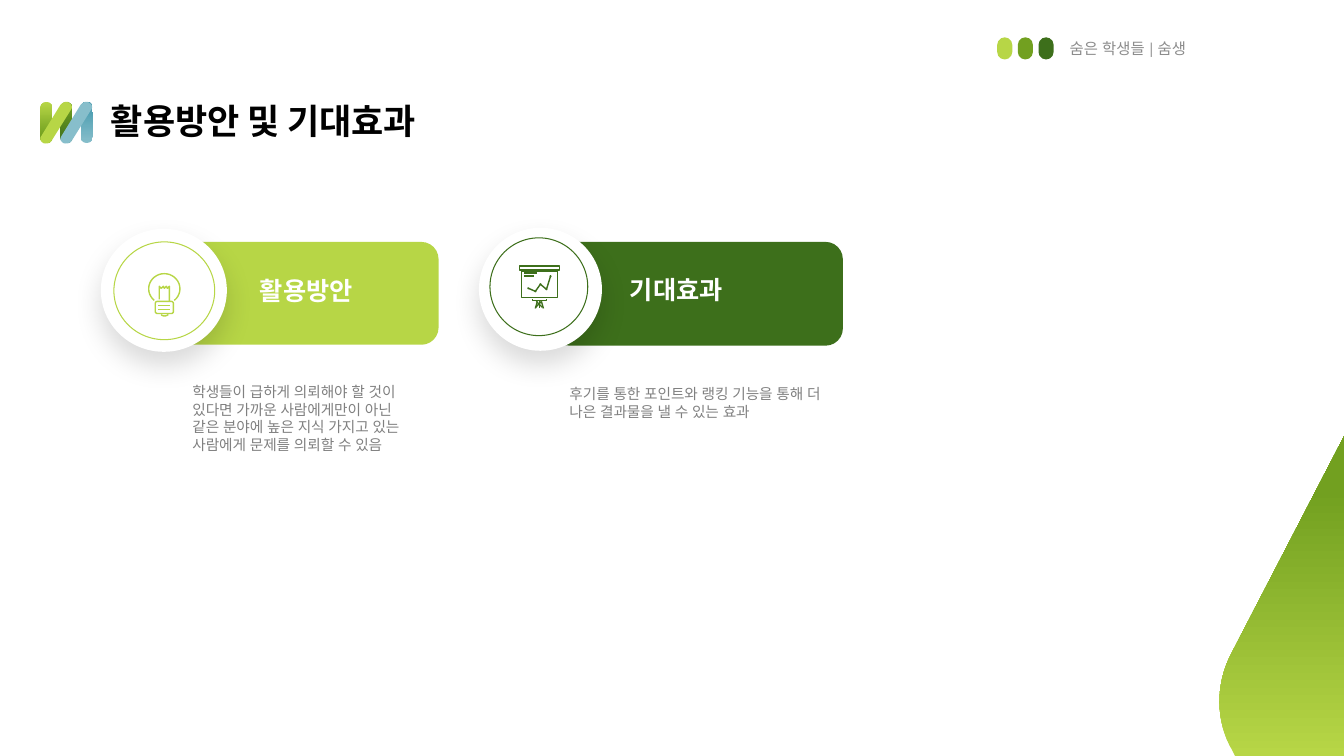
from math import cos, radians, sin

from pptx import Presentation
from pptx.dml.color import RGBColor
from pptx.enum.shapes import MSO_CONNECTOR, MSO_SHAPE
from pptx.enum.text import MSO_ANCHOR, PP_ALIGN
from pptx.oxml import parse_xml
from pptx.oxml.ns import nsdecls, qn
from pptx.util import Inches, Pt

LIME = RGBColor(0xB7, 0xD6, 0x46)
GREEN = RGBColor(0x72, 0xA0, 0x20)
FOREST = RGBColor(0x3D, 0x6F, 0x1B)
SKY = RGBColor(0x87, 0xBE, 0xCB)
TEAL = RGBColor(0x4D, 0x9E, 0xB1)
WHITE = RGBColor(0xFF, 0xFF, 0xFF)
BLACK = RGBColor(0x00, 0x00, 0x00)
GRAY = RGBColor(0x80, 0x80, 0x80)
LIGHT_GRAY = RGBColor(0x8C, 0x8C, 0x8C)

ROUNDED = MSO_SHAPE.ROUNDED_RECTANGLE
RECTANGLE = MSO_SHAPE.RECTANGLE
OVAL = MSO_SHAPE.OVAL
STRAIGHT = MSO_CONNECTOR.STRAIGHT
TOP = MSO_ANCHOR.TOP
MIDDLE = MSO_ANCHOR.MIDDLE
LEFT = PP_ALIGN.LEFT
HEADING_FONT = "Noto Sans CJK KR"
BODY_FONT = "Montserrat"
CURVE_STEPS = 16
DOWN, UP = 270, 90

presentation = Presentation()
presentation.slide_width = Inches(13.33)
presentation.slide_height = Inches(7.5)
slide = presentation.slides.add_slide(presentation.slide_layouts[5])
shapes = slide.shapes


def add_outline(segments, closed=True):
    points = [segments[0]]
    for segment in segments[1:]:
        if len(segment) == 2:
            points.append(segment)
            continue
        start, first, second, end = points[-1], segment[:2], segment[2:4], segment[4:]
        for step in range(1, CURVE_STEPS + 1):
            t = step / CURVE_STEPS
            points.append(tuple(
                (1 - t) ** 3 * a + 3 * (1 - t) ** 2 * t * b + 3 * (1 - t) * t ** 2 * c + t ** 3 * d
                for a, b, c, d in zip(start, first, second, end)))
    points = [(Inches(x), Inches(y)) for x, y in points]
    builder = shapes.build_freeform(*points[0])
    builder.add_line_segments(points[1:], close=closed)
    return builder.convert_to_shape()


def paint(shape, fill=None, line=None, width=0.75, angle=DOWN, stop=0.83):
    shape.shadow.inherit = False
    if fill is None:
        shape.fill.background()
    elif isinstance(fill, RGBColor):
        shape.fill.solid()
        shape.fill.fore_color.rgb = fill
    else:
        shape.fill.gradient()
        shape.fill.gradient_angle = angle
        for gradient_stop, color, position in zip(shape.fill.gradient_stops, fill, (0, stop)):
            gradient_stop.color.rgb = color
            gradient_stop.position = position
    if line is None:
        shape.line.fill.background()
    else:
        shape.line.color.rgb = line
        shape.line.width = Pt(width)


corner = add_outline([(13.33, 4.33), (13.33, 7.5), (12.25, 7.5), (12.22, 7.44),
                      (12.06, 7.16, 12.05, 6.8, 12.21, 6.49)])
paint(corner, (LIME, GREEN), angle=UP)

cards = [
    (LIME, (1.55, 2.4, 2.8, 1.02), (1, 2.27, 1.25, 1.22), (1.13, 2.4, 1, 0.97)),
    (FOREST, (5.48, 2.4, 2.88, 1.03), (4.75, 2.26, 1.22, 1.22), (4.86, 2.36, 0.97, 0.97)),
]
for color, banner_box, disc_box, ring_box in cards:
    banner = shapes.add_shape(ROUNDED, *map(Inches, banner_box))
    paint(banner, color)
    disc = shapes.add_shape(OVAL, *map(Inches, disc_box))
    paint(disc, WHITE)
    effects = disc._element.spPr.find(qn("a:effectLst"))
    effects.append(parse_xml(
        f'<a:outerShdw {nsdecls("a")} blurRad="{Pt(20)}" dist="{Pt(10)}" dir="5400000" '
        'algn="t" rotWithShape="0"><a:srgbClr val="000000"><a:alpha val="15000"/>'
        '</a:srgbClr></a:outerShdw>'))
    ring = shapes.add_shape(OVAL, *map(Inches, ring_box))
    paint(ring, line=color)

bulb_glass = [(1.63 + 0.155 * cos(radians(angle)), 2.865 + 0.15 * sin(radians(angle)))
              for angle in range(130, 411, 10)]
filament = [(1.58, 2.97), (1.58, 2.84), (1.6, 2.86), (1.62, 2.84), (1.63, 2.86),
            (1.65, 2.84), (1.66, 2.86), (1.68, 2.84), (1.68, 2.99)]
bulb_tip = [(1.6, 3.12), (1.61, 3.14, 1.65, 3.14, 1.67, 3.12)]
chart_line = [(5.24, 2.86), (5.31, 2.89), (5.36, 2.82), (5.42, 2.87), (5.46, 2.74)]
easel_bracket = [(5.28, 2.97), (5.28, 2.98), (5.42, 2.98), (5.42, 2.97)]
strokes = [(bulb_glass, LIME), (filament, LIME), (bulb_tip, LIME),
           (chart_line, FOREST), (easel_bracket, FOREST)]
for points, color in strokes:
    paint(add_outline(points, closed=False), line=color, width=1)

frames = [
    (ROUNDED, LIME, (1.54, 2.99, 0.18, 0.12)),
    (RECTANGLE, FOREST, (5.17, 2.69, 0.36, 0.26)),
    (RECTANGLE, FOREST, (5.15, 2.64, 0.4, 0.04)),
]
for kind, color, box in frames:
    paint(shapes.add_shape(kind, *map(Inches, box)), line=color, width=1)

rules = [
    (LIME, 1.57, 3.03, 1.69, 3.03), (LIME, 1.57, 3.07, 1.69, 3.07),
    (FOREST, 5.2, 2.71, 5.33, 2.71), (FOREST, 5.2, 2.74, 5.3, 2.74),
    (FOREST, 5.35, 2.99, 5.35, 3.06), (FOREST, 5.33, 2.99, 5.31, 3.06),
    (FOREST, 5.37, 2.99, 5.39, 3.06), (FOREST, 5.37, 2.99, 5.31, 3.05),
    (FOREST, 5.32, 2.99, 5.38, 3.05),
]
for color, *ends in rules:
    connector = shapes.add_connector(STRAIGHT, *map(Inches, ends))
    connector.line.color.rgb = color
    connector.line.width = Pt(1)
    connector._element.spPr.append(parse_xml(f'<a:effectLst {nsdecls("a")}/>'))

for x, y in chart_line:
    dot = shapes.add_shape(OVAL, *map(Inches, (x - 0.01, y - 0.01, 0.02, 0.02)))
    paint(dot, FOREST)

mark_bars = [(0.4, (LIME, GREEN), DOWN, 0.83), (0.6, (GREEN, FOREST), DOWN, 1),
             (0.8, (SKY, TEAL), UP, 0.83)]
for left, colors, angle, stop in mark_bars:
    bar = shapes.add_shape(ROUNDED, *map(Inches, (left, 1.01, 0.12, 0.41)))
    bar.adjustments[0] = 0.5
    paint(bar, colors, angle=angle, stop=stop)
    if left > 0.4:
        slant = add_outline([
            (left + 0.06, 1.01), (left + 0.07, 1.01, left + 0.08, 1.01, left + 0.08, 1.02),
            (left + 0.11, 1.03, left + 0.12, 1.06, left + 0.11, 1.08), (left - 0.09, 1.4),
            (left - 0.1, 1.42, left - 0.14, 1.43, left - 0.17, 1.42),
            (left - 0.2, 1.4, left - 0.21, 1.38, left - 0.19, 1.35), (left, 1.04),
            (left + 0.02, 1.02, left + 0.04, 1.01, left + 0.06, 1.01)])
        paint(slant, LIME if left == 0.6 else SKY)

for index, color in enumerate((LIME, GREEN, FOREST)):
    pill = shapes.add_shape(ROUNDED, *map(Inches, (9.89 + 0.205 * index, 0.37, 0.15, 0.22)))
    pill.adjustments[0] = 0.5
    paint(pill, color)

title = shapes.title
texts = [
    (title, "활용방안 및 기대효과", (1, 0.94, 7.2, 0.52), 25, HEADING_FONT, BLACK, TOP),
    (None, "활용방안", (2.48, 2.68, 2.07, 0.4), 18, HEADING_FONT, WHITE, MIDDLE),
    (None, "기대효과", (6.15, 2.67, 2.07, 0.4), 18, HEADING_FONT, WHITE, MIDDLE),
    (None, "학생들이 급하게 의뢰해야 할 것이 있다면 가까운 사람에게만이 아닌 같은 분야에 "
     "높은 지식 가지고 있는 사람에게 문제를 의뢰할 수 있음",
     (1.81, 3.75, 2.48, 1.16), 10.5, BODY_FONT, GRAY, TOP),
    (None, "후기를 통한 포인트와 랭킹 기능을 통해 더 나은 결과물을 낼 수 있는 효과",
     (5.55, 3.77, 2.83, 0.45), 10.5, BODY_FONT, GRAY, TOP),
    (None, "숨은 학생들 | 숨생", (10.51, 0.34, 2.53, 0.29), 11, BODY_FONT, LIGHT_GRAY, TOP),
]
for holder, text, box, size, font_name, color, anchor in texts:
    shape = holder or shapes.add_textbox(0, 0, 0, 0)
    shape.left, shape.top, shape.width, shape.height = map(Inches, box)
    frame = shape.text_frame
    frame.word_wrap = True
    frame.vertical_anchor = anchor
    paragraph = frame.paragraphs[0]
    paragraph.alignment = LEFT
    run = paragraph.add_run()
    run.text = text
    run.font.size = Pt(size)
    run.font.bold = font_name == HEADING_FONT
    run.font.color.rgb = color
    run.font.name = font_name
    run.font._element.append(parse_xml(f'<a:ea {nsdecls("a")} typeface="{font_name}"/>'))

presentation.save("out.pptx")
